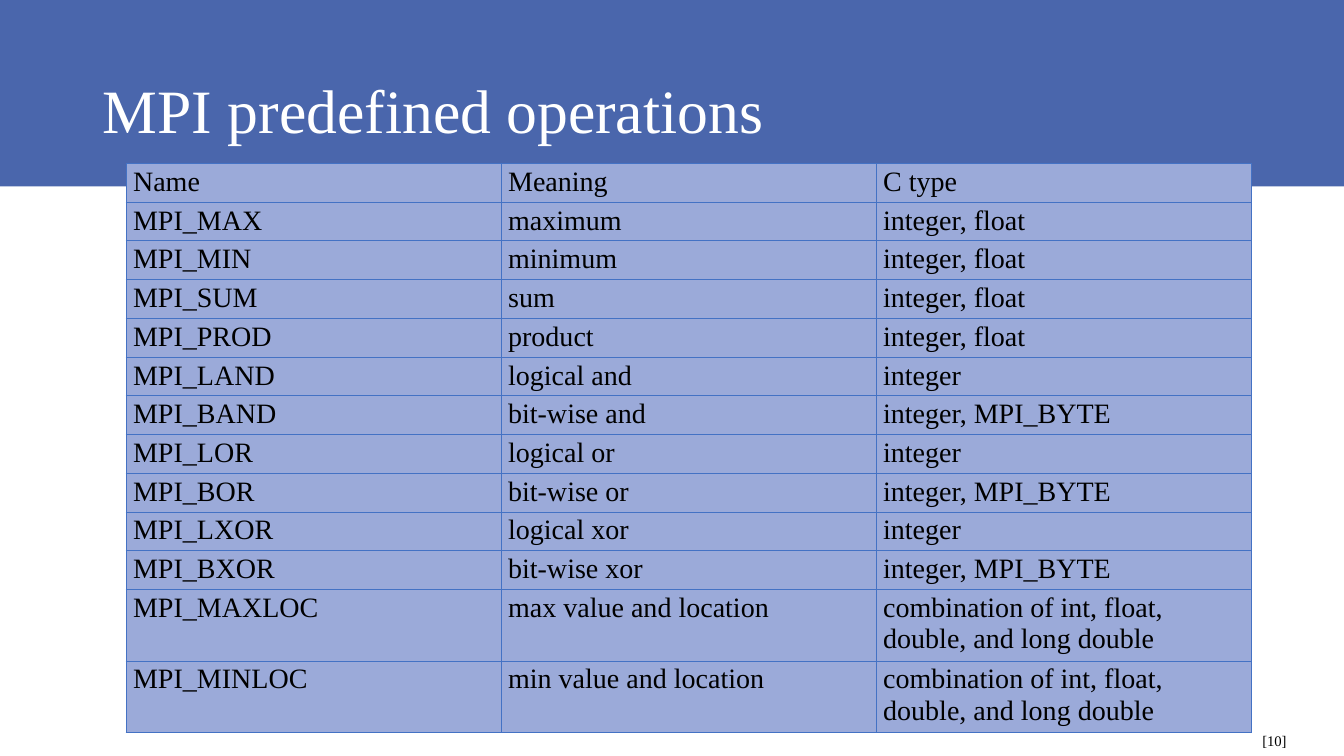
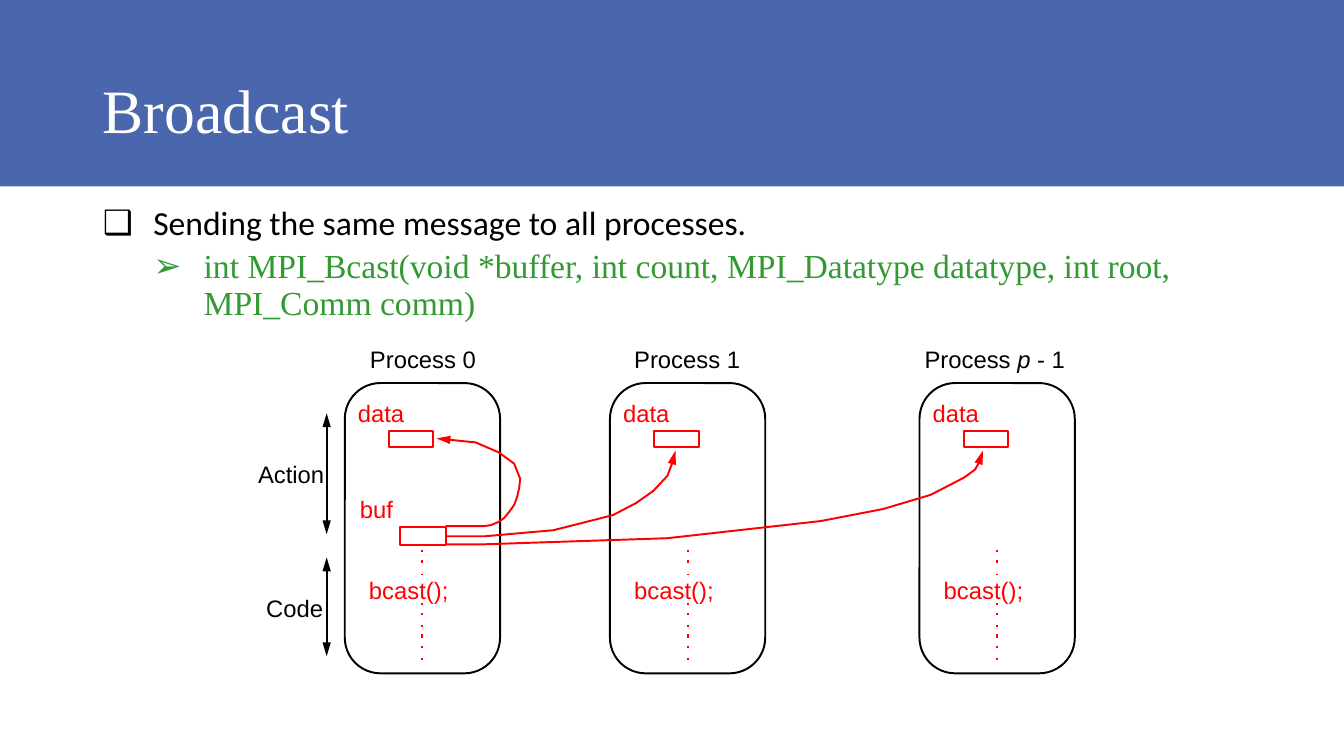
from math import cos, pi, sin

from lxml import etree
from pptx import Presentation
from pptx.dml.color import RGBColor
from pptx.enum.shapes import MSO_CONNECTOR, MSO_SHAPE
from pptx.enum.text import MSO_ANCHOR, PP_ALIGN
from pptx.oxml.ns import qn
from pptx.util import Pt

PX = 9144
SLIDE_SIZE = (1333, 750)
BAND_AREA = (0, 0, 1333, 185)
TITLE_AREA = (92, 40, 1150, 145)
BODY_AREA = (92, 200, 1150, 476)

BLUE = RGBColor(0x4A, 0x66, 0xAC)
CELL_BLUE = RGBColor(0x9B, 0xAA, 0xD9)
BORDER_BLUE = RGBColor(0x44, 0x72, 0xC4)
GREEN = RGBColor(0x33, 0x99, 0x33)
RED = RGBColor(0xFF, 0, 0)
BLACK = RGBColor(0, 0, 0)
WHITE = RGBColor(0xFF, 0xFF, 0xFF)

SERIF, SANS, BODY_FONT = "Times New Roman", "Arial", "Calibri"
LINE_WIDTH = Pt(1.38)
RECTANGLE = MSO_SHAPE.RECTANGLE
ROUNDED = MSO_SHAPE.ROUNDED_RECTANGLE
STRAIGHT = MSO_CONNECTOR.STRAIGHT
LEFT, MIDDLE = PP_ALIGN.LEFT, MSO_ANCHOR.MIDDLE
TITLE_ONLY, TITLE_AND_CONTENT = 5, 1

OPERATIONS = [
    ("Name", "Meaning", "C type"),
    ("MPI_MAX", "maximum", "integer, float"),
    ("MPI_MIN", "minimum", "integer, float"),
    ("MPI_SUM", "sum", "integer, float"),
    ("MPI_PROD", "product", "integer, float"),
    ("MPI_LAND", "logical and", "integer"),
    ("MPI_BAND", "bit-wise and", "integer, MPI_BYTE"),
    ("MPI_LOR", "logical or", "integer"),
    ("MPI_BOR", "bit-wise or", "integer, MPI_BYTE"),
    ("MPI_LXOR", "logical xor", "integer"),
    ("MPI_BXOR", "bit-wise xor", "integer, MPI_BYTE"),
    ("MPI_MAXLOC", "max value and location",
     "combination of int, float, double, and long double"),
    ("MPI_MINLOC", "min value and location",
     "combination of int, float, double, and long double"),
]
TABLE_LEFT, TABLE_TOP, COLUMN_WIDTH = 125, 162, 372
TABLE_HEIGHT, TALL_ROW_HEIGHT, TALL_ROWS = 565, 71, 2

BULLETS = [
    dict(text="Sending the same message to all processes.", level=0,
         bullet="❑", before=10, font=BODY_FONT, color=BLACK),
    dict(text="int MPI_Bcast(void *buffer, int count, MPI_Datatype datatype, "
              "int root, MPI_Comm comm)", level=1,
         bullet="➢", before=5, font=SERIF, color=GREEN),
]
PROCESSES = [
    (342, 367, [("Process 0", False)]),
    (605, 629, [("Process 1", False)]),
    (912, 917, [("Process ", False), ("p", True), (" - 1", False)]),
]
TICKS = [(546, 548), (556, 559), (569, 570), (598, 600), (608, 610),
         (620, 622), (629, 633), (641, 643), (653, 655)]
PHASES = [("Action", 256, 456, 410, 530), ("Code", 264, 589, 553, 651)]
PHASE_X = 324
BUFFER_AREA = (397, 523, 45, 18)
LOOP = [(480 + round(36 * sin(step * pi / 16)), 475 + round(47 * cos(step * pi / 16)))
        for step in range(9)]
ROUTES = [
    [(442, 522), *LOOP, (510, 460), (495, 449), (472, 439), (433, 435)],
    [(442, 532), (481, 532), (549, 526), (608, 511), (631, 499), (648, 487),
     (662, 472), (668, 456), (670, 447)],
    [(442, 540), (481, 540), (662, 534), (814, 517), (876, 505), (923, 491),
     (956, 474), (967, 466), (973, 456), (975, 447)],
]


def emu(*lengths):
    return [round(length * PX) for length in lengths]


def write(para, text, size=17, color=BLACK, font=SANS, italic=False):
    span = para.add_run()
    span.text = text
    span.font.size = Pt(size)
    span.font.name = font
    span.font.color.rgb = color
    span.font.italic = italic


def place(shape, area):
    shape.left, shape.top, shape.width, shape.height = emu(*area)


def add_label(page, left, top, width):
    box = page.shapes.add_textbox(*emu(left, top, width, 29))
    frame = box.text_frame
    frame.word_wrap = False
    frame.margin_left = frame.margin_right = 0
    frame.margin_top = frame.margin_bottom = 0
    return frame.paragraphs[0]


def set_line(shape, color, ends=()):
    shape.line.color.rgb = color
    shape.line.width = LINE_WIDTH
    outline = shape.element.spPr.find(qn("a:ln"))
    for end in ends:
        etree.SubElement(outline, qn("a:" + end), type="triangle", w="med", len="lg")


def add_outline(page, kind, area, color):
    shape = page.shapes.add_shape(kind, *emu(*area))
    shape.shadow.inherit = False
    shape.fill.background()
    set_line(shape, color)
    return shape


def add_vertical(page, x, top, bottom, color, ends=()):
    line = page.shapes.add_connector(STRAIGHT, *emu(x, top, x, bottom))
    set_line(line, color, ends)
    etree.SubElement(line.element.spPr, qn("a:effectLst"))


def add_route(page, points):
    builder = page.shapes.build_freeform(*points[0], scale=PX)
    builder.add_line_segments(points[1:], close=False)
    route = builder.convert_to_shape()
    route.shadow.inherit = False
    route.fill.background()
    set_line(route, RED, ["tailEnd"])


def add_page(deck, layout, title):
    page = deck.slides.add_slide(deck.slide_layouts[layout])
    heading = page.shapes.title
    place(heading, TITLE_AREA)
    heading.text_frame.vertical_anchor = MIDDLE
    para = heading.text_frame.paragraphs[0]
    para.alignment = LEFT
    para.line_spacing = 0.9
    write(para, title, size=44, color=WHITE, font=SERIF)
    return page


def add_master_band(deck, page):
    band = page.shapes.add_shape(RECTANGLE, *emu(*BAND_AREA))
    band.shadow.inherit = False
    band.fill.solid()
    band.fill.fore_color.rgb = BLUE
    band.line.fill.background()
    deck.slide_master.shapes.element.insert(2, band.element)


def format_cell(cell, text):
    cell.margin_left = cell.margin_right = 7 * PX
    cell.margin_top = cell.margin_bottom = 3 * PX
    cell.fill.solid()
    cell.fill.fore_color.rgb = CELL_BLUE
    properties = cell._tc.get_or_add_tcPr()
    for index, side in enumerate(("lnL", "lnR", "lnT", "lnB")):
        border = etree.Element(qn("a:" + side), w=str(Pt(0.5)))
        fill = etree.SubElement(border, qn("a:solidFill"))
        etree.SubElement(fill, qn("a:srgbClr"), val=str(BORDER_BLUE))
        properties.insert(index, border)
    write(cell.text_frame.paragraphs[0], text, size=20, font=SERIF)


def add_operations(page):
    rows, columns = len(OPERATIONS), len(OPERATIONS[0])
    short_rows = rows - TALL_ROWS
    row_height = (TABLE_HEIGHT - TALL_ROWS * TALL_ROW_HEIGHT) / short_rows
    heights = emu(*[row_height] * short_rows, *[TALL_ROW_HEIGHT] * TALL_ROWS)
    area = emu(TABLE_LEFT, TABLE_TOP, COLUMN_WIDTH * columns, TABLE_HEIGHT)
    table = page.shapes.add_table(rows, columns, *area).table
    table.first_row = table.horz_banding = False
    for column in table.columns:
        column.width = COLUMN_WIDTH * PX
    for row, height, texts in zip(table.rows, heights, OPERATIONS):
        row.height = height
        for cell, text in zip(row.cells, texts):
            format_cell(cell, text)
    write(add_label(page, 1252, 726, 40), "[10]", size=10.5, font=SERIF)


def add_bullets(page):
    body = page.placeholders[1]
    place(body, BODY_AREA)
    frame = body.text_frame
    for index, item in enumerate(BULLETS):
        para = frame.add_paragraph() if index else frame.paragraphs[0]
        para.level = item["level"]
        para.line_spacing = 0.9
        para.space_before = Pt(item["before"])
        properties = para._p.get_or_add_pPr()
        properties.set("marL", str(50 * PX * (item["level"] + 1)))
        properties.set("indent", str(-50 * PX))
        etree.SubElement(properties, qn("a:buChar"), char=item["bullet"])
        write(para, item["text"], size=24, color=item["color"], font=item["font"])


def add_process(page, left, label_left, label):
    outline = add_outline(page, ROUNDED, (left, 380, 154, 288), BLACK)
    outline.adjustments[0] = 0.23
    heading = add_label(page, label_left, 342, 180)
    for text, italic in label:
        write(heading, text, italic=italic)
    write(add_label(page, left + 13, 396, 60), "data", color=RED)
    add_outline(page, RECTANGLE, (left + 44, 428, 44, 16), RED)
    write(add_label(page, left + 24, 571, 100), "bcast();", color=RED)
    for top, bottom in TICKS:
        add_vertical(page, left + 77, top, bottom, RED)


def add_diagram(page):
    for process in PROCESSES:
        add_process(page, *process)
    write(add_label(page, 357, 491, 50), "buf", color=RED)
    add_outline(page, RECTANGLE, BUFFER_AREA, RED)
    for points in ROUTES:
        add_route(page, points)
    for text, left, label_top, top, bottom in PHASES:
        write(add_label(page, left, label_top, 80), text)
        add_vertical(page, PHASE_X, top, bottom, BLACK, ["headEnd", "tailEnd"])


def main():
    deck = Presentation()
    deck.slide_width, deck.slide_height = emu(*SLIDE_SIZE)
    operations = add_page(deck, TITLE_ONLY, "MPI predefined operations")
    add_master_band(deck, operations)
    add_operations(operations)
    broadcast = add_page(deck, TITLE_AND_CONTENT, "Broadcast")
    add_bullets(broadcast)
    add_diagram(broadcast)
    deck.save("out.pptx")


if __name__ == "__main__":
    main()
